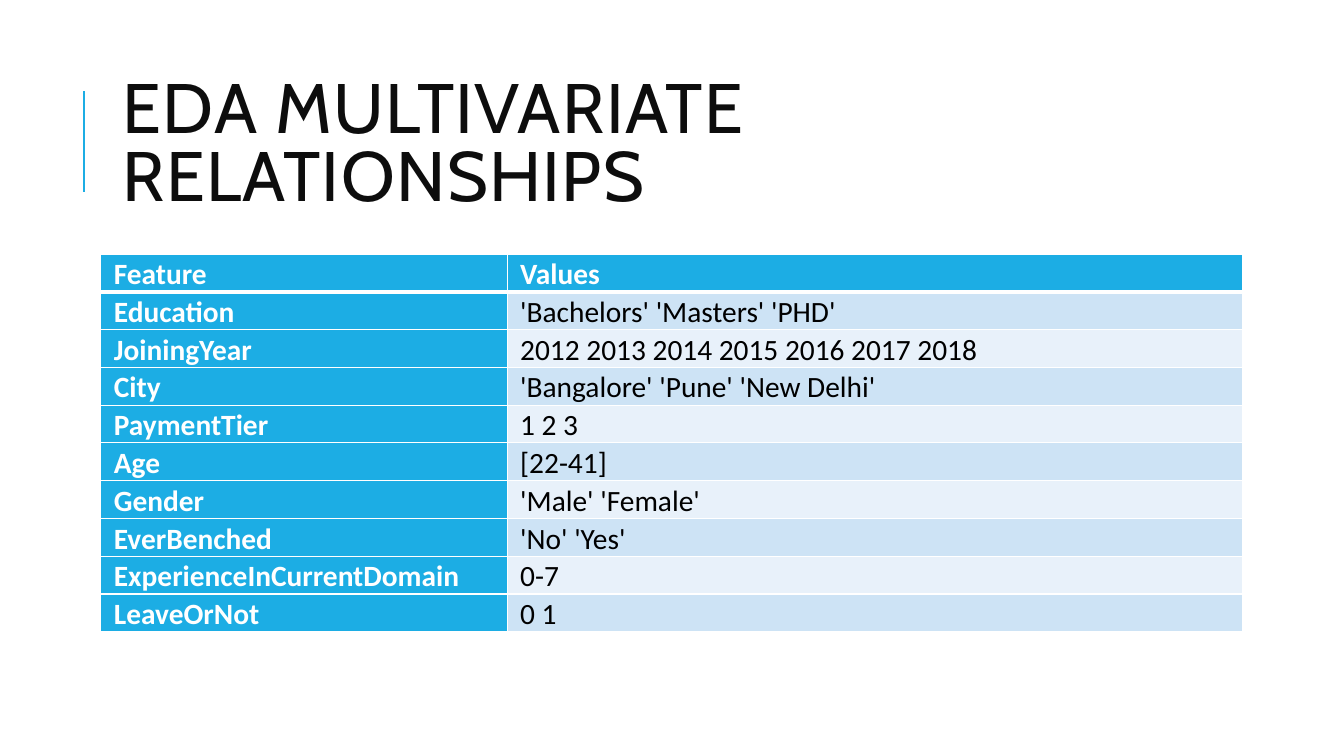
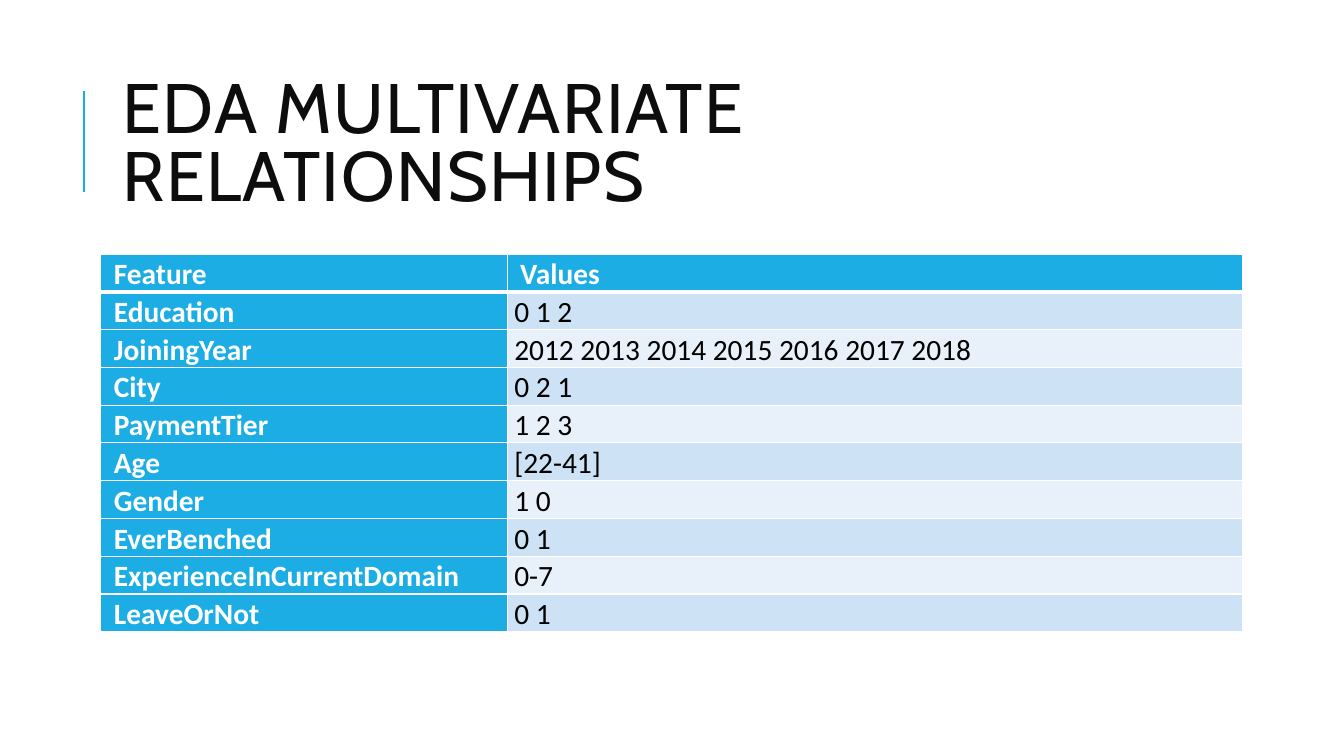
"""Build two slides that list the dataset features before and after encoding."""
from lxml.etree import SubElement
from pptx import Presentation
from pptx.dml.color import RGBColor
from pptx.enum.shapes import MSO_CONNECTOR
from pptx.enum.text import MSO_ANCHOR, PP_ALIGN
from pptx.oxml.ns import qn
from pptx.util import Cm, Pt

TITLE = "EDA MULTIVARIATE RELATIONSHIPS"
HEADER = ("Feature", "Values")
FEATURES = ("Education", "JoiningYear", "City", "PaymentTier", "Age", "Gender",
            "EverBenched", "ExperienceInCurrentDomain", "LeaveOrNot")
YEARS = "2012 2013 2014 2015 2016 2017 2018"
RAW = ("'Bachelors' 'Masters' 'PHD'", YEARS, "'Bangalore' 'Pune' 'New Delhi'",
       "1 2 3", "[22-41]", "'Male' 'Female'", "'No' 'Yes'", "0-7", "0 1")
ENCODED = ("0 1 2", YEARS, "0 2 1", "1 2 3", "[22-41]", "1 0", "0 1", "0-7", "0 1")

WIDE, NARROW = Cm(0.33), Cm(0.18)
SLIDES = ((RAW, WIDE), (ENCODED, NARROW))

WHITE = RGBColor(0xFF, 0xFF, 0xFF)
BLACK = RGBColor(0x00, 0x00, 0x00)
INK = RGBColor(0x0D, 0x0D, 0x0D)
ACCENT = RGBColor(0x1C, 0xAD, 0xE4)
BANDS = (RGBColor(0xE8, 0xF1, 0xFA), RGBColor(0xCD, 0xE3, 0xF5))

TITLE_FONT = {"name": "Cabin", "size": Pt(50)}
LABEL_FONT = {"name": "Calibri", "size": Pt(21), "bold": True}
VALUE_FONT = {**LABEL_FONT, "bold": False}

COL_WIDTHS = (Cm(10.24), Cm(18.54))
ROW_HEIGHT = Cm(0.91)


def write(tf, text, font, color, spacing):
    """Put one formatted run in a text frame and return its paragraph and run."""
    p = tf.paragraphs[0]
    p.line_spacing = spacing
    r = p.add_run()
    r.text = text
    for key, value in font.items():
        setattr(r.font, key, value)
    r.font.color.rgb = color
    return p, r


def add_title(s):
    """Draw the accent rule and the slide title."""
    rule = s.shapes.add_connector(MSO_CONNECTOR.STRAIGHT, Cm(2.11), Cm(4.83), Cm(2.11), Cm(2.29))
    rule.line.color.rgb = ACCENT
    rule.line.width = Pt(1.5)
    SubElement(rule._element.spPr, qn("a:effectLst"))
    tf = s.shapes.add_textbox(Cm(2.84), Cm(1.63), Cm(27), Cm(4.17)).text_frame
    tf.word_wrap = True
    tf.vertical_anchor = MSO_ANCHOR.MIDDLE
    _, r = write(tf, TITLE, TITLE_FONT, INK, 0.8)
    r.font._element.set("spc", "100")


def add_borders(cell, row):
    """Give a cell white borders, thick between the header and the body."""
    widths = {"lnL": 1, "lnR": 1, "lnT": 3 if row == 1 else 1, "lnB": 3 if row == 0 else 1}
    for tag, width in widths.items():
        ln = SubElement(cell._tc.get_or_add_tcPr(), qn(f"a:{tag}"), w=str(Pt(width)))
        SubElement(SubElement(ln, qn("a:solidFill")), qn("a:srgbClr"), val=str(WHITE))


def add_feature_table(s, values, value_inset):
    """Draw the table of features and their values."""
    rows = [HEADER, *zip(FEATURES, values)]
    table = s.shapes.add_table(len(rows), len(HEADER), Cm(2.54), Cm(6.4),
                               sum(COL_WIDTHS), ROW_HEIGHT * len(rows)).table
    for col, width in zip(table.columns, COL_WIDTHS):
        col.width = width
    for i, row in enumerate(rows):
        for j, text in enumerate(row):
            is_value = i > 0 and j > 0
            cell = table.cell(i, j)
            inset = value_inset if is_value else WIDE
            margins = {"margin_left": inset, "margin_right": inset,
                       "margin_top": 0, "margin_bottom": 0}
            for key, value in margins.items():
                setattr(cell, key, value)
            add_borders(cell, i)
            cell.fill.solid()
            cell.fill.fore_color.rgb = BANDS[i % 2] if is_value else ACCENT
            font, color = (VALUE_FONT, BLACK) if is_value else (LABEL_FONT, WHITE)
            p, _ = write(cell.text_frame, text, font, color, 1.07)
            p.alignment = PP_ALIGN.JUSTIFY


prs = Presentation()
prs.slide_width, prs.slide_height = Cm(33.87), Cm(19.05)
for values, value_inset in SLIDES:
    s = prs.slides.add_slide(prs.slide_layouts[6])
    add_title(s)
    add_feature_table(s, values, value_inset)
prs.save("out.pptx")
